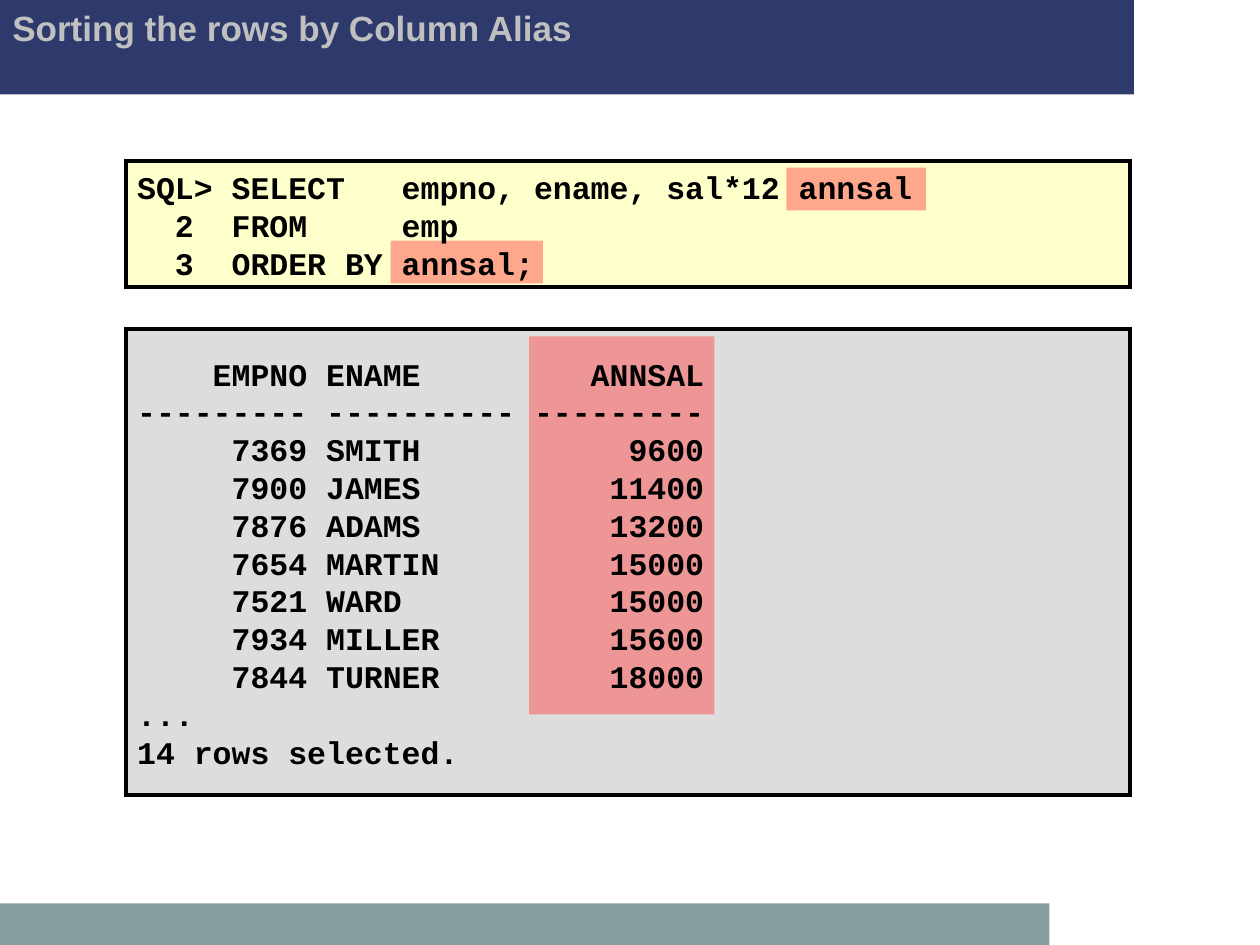
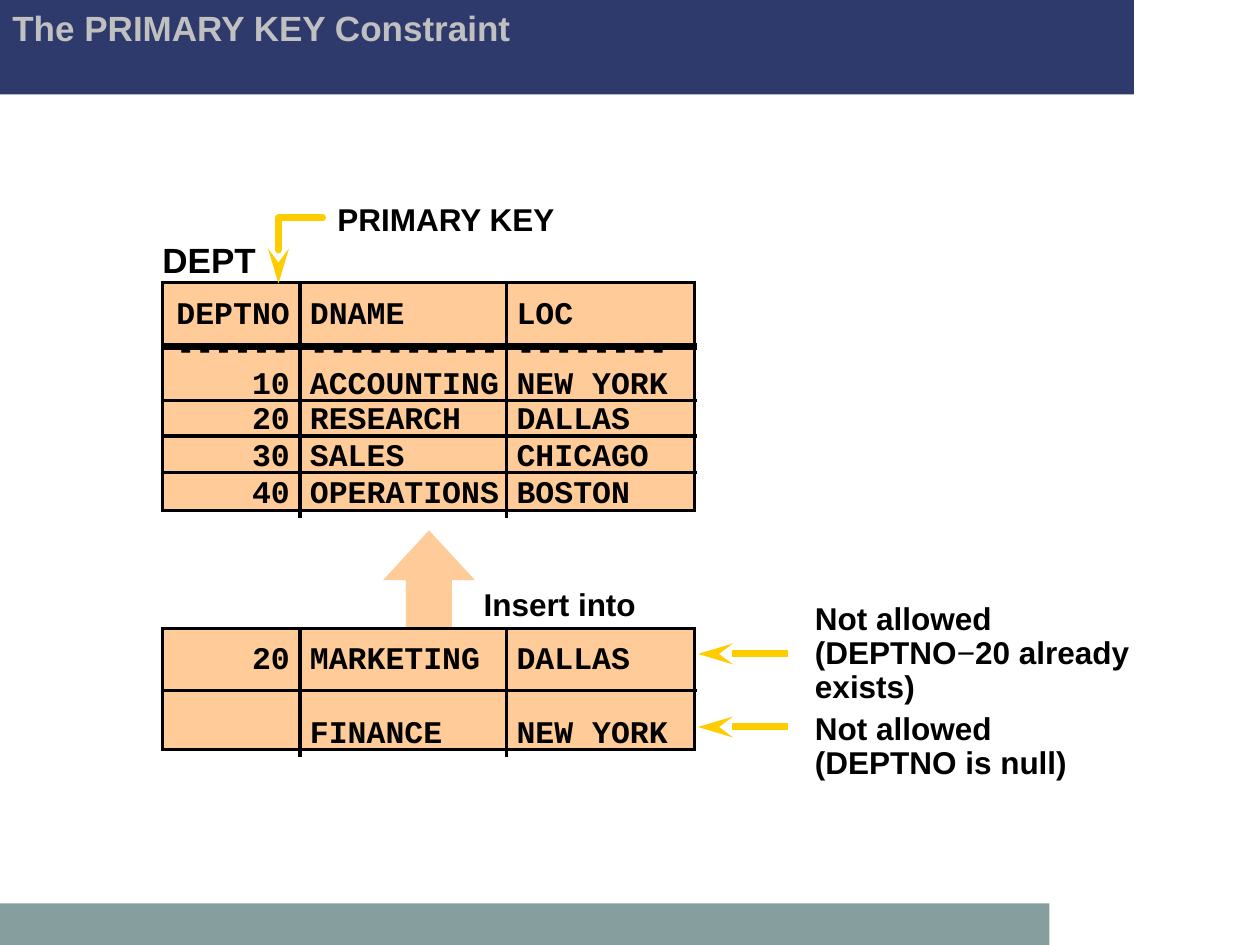
from dataclasses import dataclass
from typing import Optional

from lxml import etree
from pptx import Presentation
from pptx import util as u
from pptx.dml.color import RGBColor
from pptx.enum import shapes, text
from pptx.oxml.ns import qn

HUES = {
    "navy": "2E3A6C", "teal": "879E9E", "silver": "C0C0C0", "black": "000000",
    "cream": "FFFFCC", "grey": "DDDDDD", "red": "FF5050", "peach": "FFCC99",
    "gold": "FFCC00",
}
SANS, MONO = "Arial", "Courier New"
RECT = shapes.MSO_SHAPE.RECTANGLE
MID, LOW = text.MSO_ANCHOR.MIDDLE, text.MSO_ANCHOR.BOTTOM
LEFT, RIGHT = text.PP_ALIGN.LEFT, text.PP_ALIGN.RIGHT


@dataclass(frozen=True)
class Box:
    x: float
    y: float
    w: float
    h: float

    def size(self) -> tuple:
        return tuple(u.Inches(n) for n in (self.x, self.y, self.w, self.h))


@dataclass(frozen=True)
class Panel:
    box: Box
    fill: str
    code: str


@dataclass(frozen=True)
class Grid:
    x: float
    y: float
    rows: tuple
    cells: tuple
    anchors: tuple
    head: float = 2


@dataclass(frozen=True)
class Note:
    box: Box
    words: str
    arrow: Optional[float] = None


QUERY = """SQL> SELECT   empno, ename, sal*12 annsal
  2  FROM     emp
  3  ORDER BY annsal;"""

RESULT = """    EMPNO ENAME         ANNSAL
--------- ---------- ---------
     7369 SMITH           9600
     7900 JAMES          11400
     7876 ADAMS          13200
     7654 MARTIN         15000
     7521 WARD           15000
     7934 MILLER         15600
     7844 TURNER         18000
...
14 rows selected."""

PANELS = (
    Panel(Box(1, 1.28, 7.97, 1), "cream", QUERY),
    Panel(Box(1, 2.61, 7.97, 3.7), "grey", RESULT),
)
MARKS = (
    Box(3.1, 1.91, 1.21, 0.34),
    Box(4.2, 2.67, 1.47, 3),
    Box(6.24, 1.33, 1.11, 0.34),
)

COLS = (1.09, 1.64, 1.49)
DEPT = Grid(
    1.29, 2.24, (0.51, 0.43, 0.28, 0.29, 0.3),
    (
        ("DEPTNO", "DNAME", "LOC"),
        ("------\n10", "----------\nACCOUNTING", "--------\nNEW YORK"),
        ("20", "RESEARCH", "DALLAS"),
        ("30", "SALES", "CHICAGO"),
        ("40", "OPERATIONS", "BOSTON"),
    ),
    (MID, LOW, LOW, LOW, LOW), 4,
)
ADDED = Grid(
    1.29, 4.99, (0.49, 0.47),
    (("20", "MARKETING", "DALLAS"), ("", "FINANCE", "NEW YORK")),
    (MID, LOW),
)
NOTES = (
    Note(Box(2.58, 1.57, 3.21, 0.37), "PRIMARY KEY"),
    Note(Box(3.74, 4.63, 2.84, 0.37), "Insert into"),
    Note(Box(6.37, 4.74, 2.84, 0.91),
         "Not allowed (DEPTNO−20 already exists)", 5.19),
    Note(Box(6.37, 5.61, 2.84, 0.64),
         "Not allowed\n(DEPTNO is null)", 5.77),
)


def hue(name: str) -> RGBColor:
    return RGBColor.from_string(HUES[name])


def write(frame, words: str, *, font: str = SANS, size: float = 18,
          color: str = "black", gap: Optional[float] = None,
          align=LEFT, thin: str = "−") -> None:
    for i, line in enumerate(words.split("\n")):
        para = frame.paragraphs[0] if i == 0 else frame.add_paragraph()
        para.alignment = align
        if gap:
            para.line_spacing = gap
        para.font.size = u.Pt(size)
        for part in line.partition(thin):
            if part:
                run = para.add_run()
                run.text = part
                run.font.name = font
                run.font.size = u.Pt(size)
                run.font.bold = part != thin
                run.font.color.rgb = hue(color)


def label(slide, box: Box, words: str, anchor=text.MSO_ANCHOR.TOP,
          **form) -> None:
    frame = slide.shapes.add_textbox(*box.size()).text_frame
    frame.word_wrap = True
    frame.vertical_anchor = anchor
    write(frame, words, **form)


def stroke(shape, color: str, width: float):
    shape.line.color.rgb = hue(color)
    shape.line.width = u.Pt(width)
    return shape.line._get_or_add_ln()


def block(slide, box: Box, fill: str, edge: bool = False,
          clear: bool = False, kind=RECT):
    shape = slide.shapes.add_shape(kind, *box.size())
    shape.shadow.inherit = False
    shape.fill.solid()
    shape.fill.fore_color.rgb = hue(fill)
    if clear:
        tint = shape._element.spPr.find(".//" + qn("a:srgbClr"))
        etree.SubElement(tint, qn("a:alpha"), val="50000")
    if edge:
        line = stroke(shape, "black", 2)
        etree.SubElement(line, qn("a:miter"), lim="800000")
    else:
        shape.line.fill.background()
    return shape


def point(shape, curve: bool = False) -> None:
    line = stroke(shape, "gold", 4)
    if curve:
        line.set("cap", "rnd")
    etree.SubElement(line, qn("a:round"))
    etree.SubElement(line, qn("a:tailEnd"), type="stealth", len="lg")


def join(slide, *ends: float):
    link = slide.shapes.add_connector(
        shapes.MSO_CONNECTOR.STRAIGHT, *(u.Inches(n) for n in ends))
    etree.SubElement(link._element.spPr, qn("a:effectLst"))
    return link


def elbow(slide) -> None:
    spots = [(u.Inches(x), u.Inches(y))
             for x, y in ((2.56, 1.73), (2.21, 1.73), (2.21, 2.25))]
    route = slide.shapes.build_freeform(*spots[0])
    route.add_line_segments(spots[1:], close=False)
    shape = route.convert_to_shape()
    shape.fill.background()
    shape.shadow.inherit = False
    point(shape, curve=True)


def edges(cell, outer: tuple) -> None:
    props = cell._tc.get_or_add_tcPr()
    for i, (side, shown) in enumerate(zip("LRTB", outer)):
        line = etree.Element(qn("a:ln" + side), w=str(u.Pt(2)))
        if shown:
            fill = etree.SubElement(line, qn("a:solidFill"))
            etree.SubElement(fill, qn("a:srgbClr"), val=HUES["black"])
        else:
            etree.SubElement(line, qn("a:noFill"))
        props.insert(i, line)


def rules(slide, grid: Grid) -> None:
    for r in range(1, len(grid.rows)):
        y = grid.y + sum(grid.rows[:r])
        line = join(slide, grid.x - 0.01, y, grid.x + sum(COLS) + 0.02, y)
        stroke(line, "black", grid.head if r == 1 else 2)
    for c in range(1, len(COLS)):
        x = grid.x + sum(COLS[:c])
        line = join(slide, x, grid.y, x, grid.y + sum(grid.rows) + 0.06)
        stroke(line, "black", 2)


def table(slide, grid: Grid) -> None:
    box = Box(grid.x, grid.y, sum(COLS), sum(grid.rows))
    tab = slide.shapes.add_table(
        len(grid.rows), len(COLS), *box.size()).table
    tab.first_row = tab.horz_banding = False
    for col, width in zip(tab.columns, COLS):
        col.width = u.Inches(width)
    for r, high in enumerate(grid.rows):
        tab.rows[r].height = u.Inches(high)
        for c, words in enumerate(grid.cells[r]):
            cell = tab.cell(r, c)
            cell.fill.solid()
            cell.fill.fore_color.rgb = hue("peach")
            cell.margin_top = cell.margin_bottom = 0
            cell.margin_left = u.Inches(0.08)
            cell.margin_right = u.Inches(0.02 if c else 0.08)
            cell.vertical_anchor = grid.anchors[r]
            write(cell.text_frame, words, font=MONO, gap=0.9,
                  align=LEFT if c else RIGHT)
            if "\n" in words:
                cell.text_frame.paragraphs[0].line_spacing = u.Pt(10)
            edges(cell, (c == 0, c == len(COLS) - 1,
                         r == 0, r == len(grid.rows) - 1))
    rules(slide, grid)


def start(deck, title: str):
    slide = deck.slides.add_slide(deck.slide_layouts[6])
    block(slide, Box(0, 0, 9, 0.75), "navy")
    block(slide, Box(0, 7.17, 8.33, 0.33), "teal")
    label(slide, Box(0, 0, 8.5, 0.75), title, size=20, color="silver")
    return slide


def sort(deck) -> None:
    slide = start(deck, "Sorting the rows by Column Alias")
    for panel in PANELS:
        block(slide, panel.box, panel.fill, edge=True)
    for mark in MARKS:
        block(slide, mark, "red", clear=True)
    for panel in PANELS:
        box = panel.box
        area = Box(box.x - 0.01, box.y - 0.01, 8, box.h + 0.03)
        label(slide, area, panel.code, anchor=MID, font=MONO)


def key(deck) -> None:
    slide = start(deck, "The PRIMARY KEY Constraint")
    label(slide, Box(1.19, 1.84, 1.02, 0.43), "DEPT", size=20)
    table(slide, DEPT)
    elbow(slide)
    rise = block(slide, Box(3.04, 4.21, 0.73, 0.79), "peach",
                 kind=shapes.MSO_SHAPE.UP_ARROW)
    rise.adjustments[1] = 0.54
    table(slide, ADDED)
    for note in NOTES:
        label(slide, note.box, note.words, gap=0.9)
        if note.arrow:
            point(join(slide, 6.25, note.arrow, 5.54, note.arrow))


def main() -> None:
    deck = Presentation()
    deck.slide_width, deck.slide_height = u.Inches(10), u.Inches(7.5)
    sort(deck)
    key(deck)
    deck.save("out.pptx")


if __name__ == "__main__":
    main()
